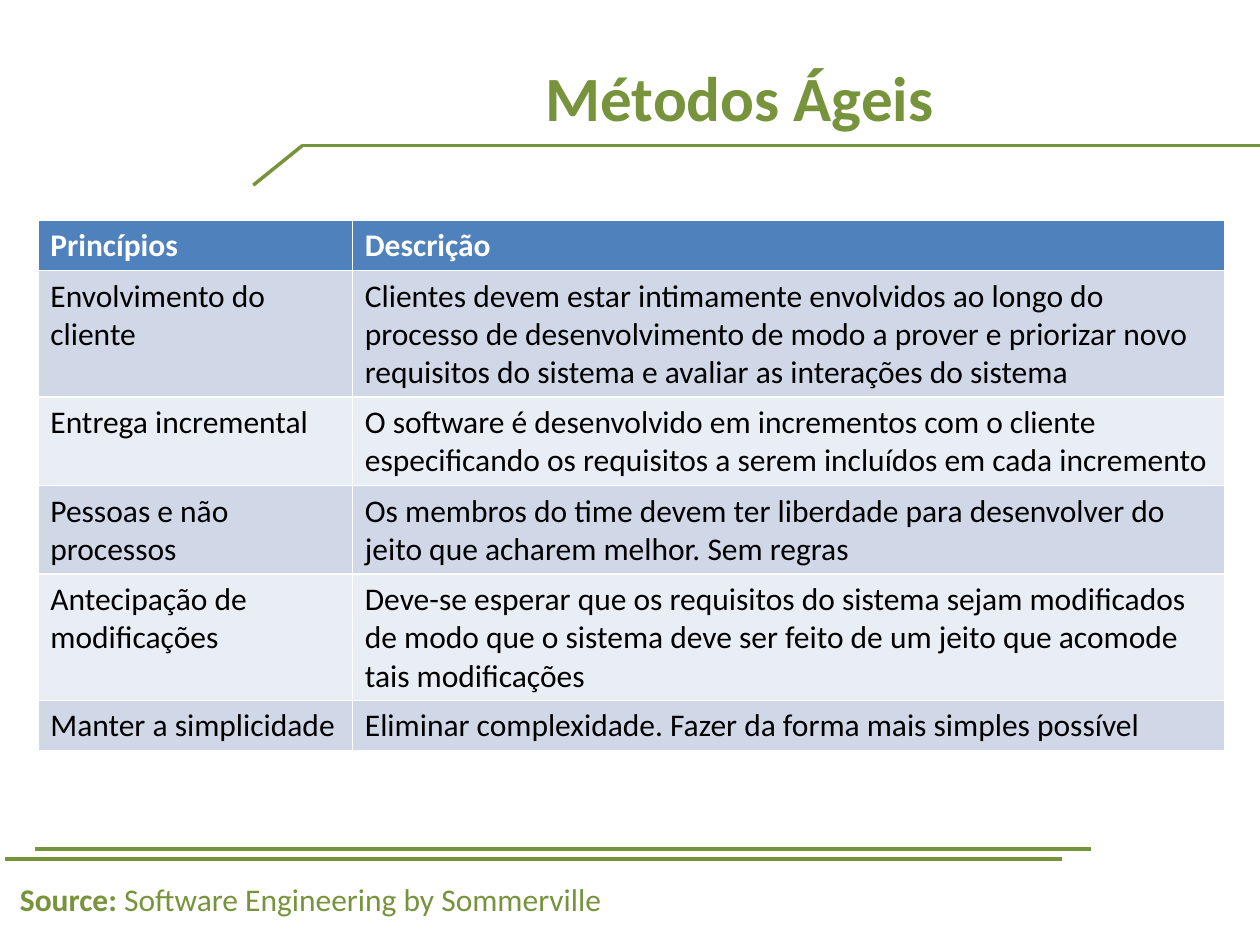
from dataclasses import dataclass

from lxml import etree
from pptx import Presentation
from pptx import util as u
from pptx.dml.color import RGBColor
from pptx.enum import shapes, text
from pptx.oxml import ns

COLORS = {
    "green": "77933C",
    "header": "4F81BD",
    "odd": "D0D8E8",
    "even": "E9EDF4",
    "white": "FFFFFF",
    "black": "000000",
}
FONT = "Calibri"
WIDTH, HEIGHT = u.Inches(10), u.Inches(7.5)

HEADINGS = ("Princípios", "Descrição")
PRINCIPLES = [
    ("Envolvimento do cliente",
     "Clientes devem estar intimamente envolvidos ao longo do processo de "
     "desenvolvimento de modo a prover e priorizar novo requisitos do sistema "
     "e avaliar as interações do sistema"),
    ("Entrega incremental",
     "O software é desenvolvido em incrementos com o cliente especificando os "
     "requisitos a serem incluídos em cada incremento"),
    ("Pessoas e não processos",
     "Os membros do time devem ter liberdade para desenvolver do jeito que "
     "acharem melhor. Sem regras"),
    ("Antecipação de modificações",
     "Deve-se esperar que os requisitos do sistema sejam modificados de modo "
     "que o sistema deve ser feito de um jeito que acomode tais modificações"),
    ("Manter a simplicidade",
     "Eliminar complexidade. Fazer da forma mais simples possível"),
]
ROW_LINES = (1, 3, 2, 2, 3, 1)


@dataclass
class Box:
    left: int
    top: int
    width: int
    height: int

    def point(self, across, down):
        return (int(self.left + self.width * across),
                int(self.top + self.height * down))

    def region(self, left, top, right, bottom):
        start, end = self.point(left, top), self.point(right, bottom)
        return Box(*start, end[0] - start[0], end[1] - start[1])

    def place(self):
        return self.left, self.top, self.width, self.height


def color(name):
    return RGBColor.from_string(COLORS[name])


def add_span(para, words, size, tint, bold=False):
    span = para.add_run()
    span.text = words
    span.font.name = FONT
    span.font.size = u.Pt(size)
    span.font.bold = bold
    span.font.color.rgb = color(tint)


def add_rule(page, start, end):
    rule = page.shapes.add_connector(shapes.MSO_CONNECTOR.STRAIGHT, *start, *end)
    rule.line.color.rgb = color("green")
    rule.line.width = u.Pt(2)
    etree.SubElement(rule._element.spPr, ns.qn("a:effectLst"))


def add_header(page, box):
    title = page.shapes.title
    title.left, title.top, title.width, title.height = box.region(0.224, 0.09, 0.95, 0.93).place()
    frame = title.text_frame
    frame.word_wrap = True
    frame.vertical_anchor = text.MSO_ANCHOR.MIDDLE
    para = frame.paragraphs[0]
    para.alignment = text.PP_ALIGN.CENTER
    add_span(para, "Métodos Ágeis", 36, "green", True)

    corner = box.point(0.24, 0.77)
    add_rule(page, box.point(1, 0.77), corner)
    add_rule(page, corner, box.point(0.201, 0.98))


def add_principles(page, box):
    rows = [HEADINGS, *PRINCIPLES]
    table = page.shapes.add_table(len(rows), len(HEADINGS), *box.place()).table
    name_width = int(box.width * 0.265)
    table.columns[0].width = name_width
    table.columns[1].width = box.width - name_width
    units = [1 + 3 * lines for lines in ROW_LINES]
    for index, entries in enumerate(rows):
        table.rows[index].height = int(box.height * units[index] / sum(units))
        heading = index == 0
        fill = "header" if heading else "odd" if index % 2 else "even"
        for column, words in enumerate(entries):
            cell = table.cell(index, column)
            cell.fill.solid()
            cell.fill.fore_color.rgb = color(fill)
            add_span(cell.text_frame.paragraphs[0], words, 18,
                     "white" if heading else "black", heading)


def add_footer(page, box):
    add_rule(page, box.point(0.866, 0.05), box.point(0.028, 0.05))
    add_rule(page, box.point(0.843, 0.15), box.point(0.004, 0.15))
    frame = page.shapes.add_textbox(*box.region(0.006, 0.3, 0.5, 0.8).place()).text_frame
    frame.word_wrap = False
    para = frame.paragraphs[0]
    add_span(para, "Source: ", 18, "green", True)
    add_span(para, "Software Engineering by Sommerville", 18, "green")


def main():
    deck = Presentation()
    deck.slide_width, deck.slide_height = WIDTH, HEIGHT
    page = deck.slides.add_slide(deck.slide_layouts[5])
    whole = Box(0, 0, WIDTH, HEIGHT)
    add_footer(page, whole.region(0, 0.893, 1, 1))
    add_header(page, whole.region(0, 0, 1, 0.2))
    add_principles(page, whole.region(0.03, 0.233, 0.972, 0.795))
    deck.save("out.pptx")


if __name__ == "__main__":
    main()
